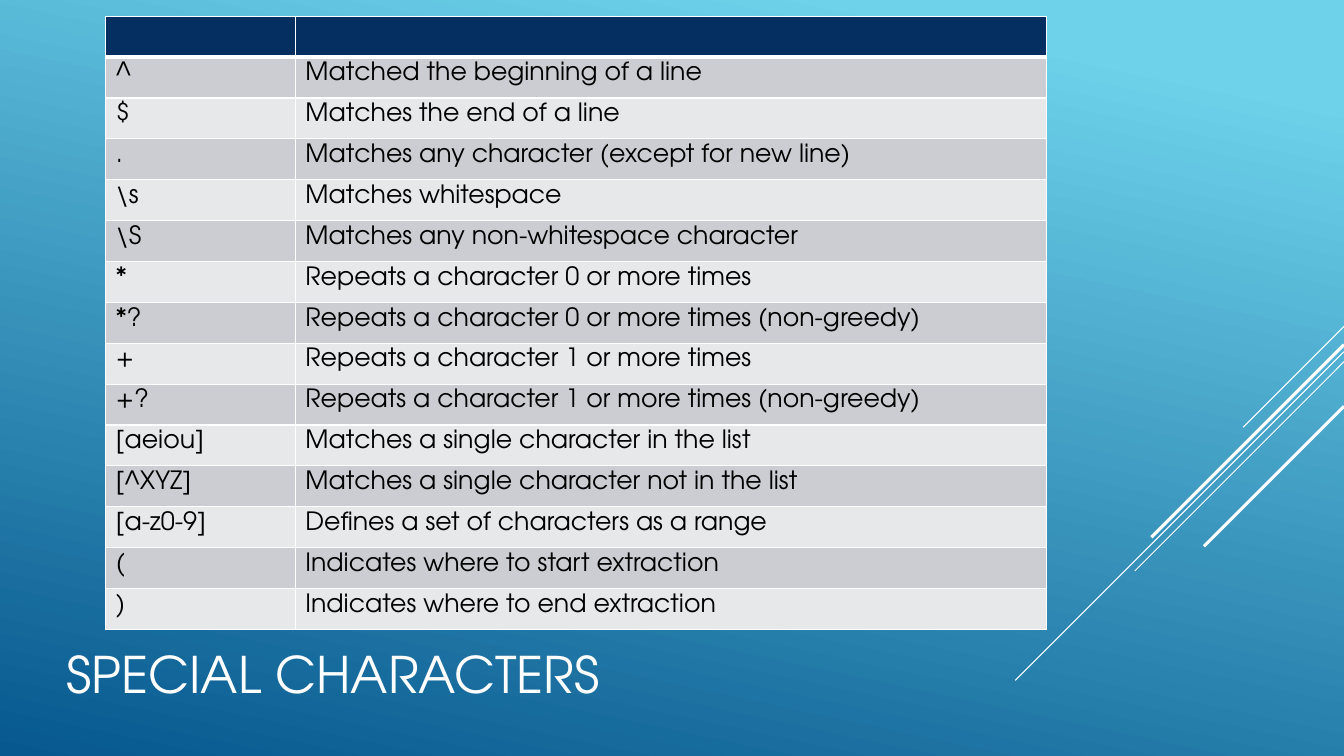
from lxml import etree
from pptx import Presentation
from pptx.dml.color import RGBColor
from pptx.enum.shapes import MSO_CONNECTOR
from pptx.enum.text import MSO_ANCHOR
from pptx.oxml.ns import qn
from pptx.util import Inches, Pt

STRAIGHT = MSO_CONNECTOR.STRAIGHT
MIDDLE = MSO_ANCHOR.MIDDLE
COLS, ROWS = 48, 27

RULES = [
    ("", ""),
    ("^", "Matched the beginning of a line"),
    ("$", "Matches the end of a line"),
    (".", "Matches any character (except for new line)"),
    ("\\s", "Matches whitespace"),
    ("\\S", "Matches any non-whitespace character"),
    ("*", "Repeats a character 0 or more times"),
    ("*?", "Repeats a character 0 or more times (non-greedy)"),
    ("+", "Repeats a character 1 or more times"),
    ("+?", "Repeats a character 1 or more times (non-greedy)"),
    ("[aeiou]", "Matches a single character in the list"),
    ("[^XYZ]", "Matches a single character not in the list"),
    ("[a-z0-9]", "Defines a set of characters as a range"),
    ("(", "Indicates where to start extraction"),
    (")", "Indicates where to end extraction"),
]

STREAKS = [
    (11.66, 3.6, 0.75),
    (12.56, 11.74, 0.75),
    (12.92, 7.47, 0.75),
    (12.31, 6.88, 2.25),
    (14.51, 5, 2.25),
]


def paint(code):
    return RGBColor.from_string(code)


class Deck:
    """Holds the style and the current slide, measured in grid cells."""

    font = "TeX Gyre Adventor"
    white, black, navy = "FFFFFF", "000000", "052F61"
    bands = ("E7E8EA", "CCCDD2")

    def __init__(self):
        self.prs = Presentation()
        self.prs.slide_width = Inches(13.33)
        self.prs.slide_height = Inches(7.5)
        self.slide = self.prs.slides.add_slide(self.prs.slide_layouts[6])

    def x(self, cols):
        return round(self.prs.slide_width * cols / COLS)

    def y(self, rows):
        return round(self.prs.slide_height * rows / ROWS)

    def box(self, left, top, width, height):
        return self.x(left), self.y(top), self.x(width), self.y(height)

    def backdrop(self, angle, *stops):
        fill = self.slide.background.fill
        fill.gradient()
        fill.gradient_angle = angle
        for stop, (place, code) in zip(fill.gradient_stops, stops):
            stop.position = place
            stop.color.rgb = paint(code)

    def streak(self, top, run, width):
        line = self.slide.shapes.add_connector(
            STRAIGHT, self.x(COLS), self.y(top),
            self.x(COLS - run), self.y(top + run))
        line.line.color.rgb = paint(self.white)
        line.line.width = Pt(width)
        etree.SubElement(line._element.spPr, qn("a:effectLst"))

    def label(self, frame, text, size, code):
        para = frame.paragraphs[0]
        para.text = text
        para.font.name = self.font
        para.font.size = Pt(size)
        para.font.color.rgb = paint(code)

    def title(self, text, *place):
        frame = self.slide.shapes.add_textbox(*self.box(*place)).text_frame
        frame.word_wrap = True
        frame.vertical_anchor = MIDDLE
        self.label(frame, text, 36, self.white)

    def border(self, cell, **sides):
        props = cell._tc.get_or_add_tcPr()
        for side, width in sides.items():
            line = etree.SubElement(props, qn(f"a:ln{side}"), w=str(Pt(width)))
            fill = etree.SubElement(line, qn("a:solidFill"))
            etree.SubElement(fill, qn("a:srgbClr"), val=self.white)

    def table(self, data, left, top, widths, height):
        place = self.box(left, top, sum(widths), height * len(data))
        table = self.slide.shapes.add_table(
            len(data), len(widths), *place).table
        for col, width in zip(table.columns, widths):
            col.width = self.x(width)
        for i, texts in enumerate(data):
            table.rows[i].height = self.y(height)
            for j, text in enumerate(texts):
                cell = table.cell(i, j)
                self.border(cell, L=1, R=1, T=3 if i == 1 else 1,
                            B=1 if i else 3)
                cell.fill.solid()
                cell.fill.fore_color.rgb = paint(
                    self.bands[i % 2] if i else self.navy)
                self.label(cell.text_frame, text, 18, self.black)


def main():
    deck = Deck()
    deck.backdrop(258, (0.1, "6ED2EB"), (1, "06588E"))
    for streak in STREAKS:
        deck.streak(*streak)
    deck.title("SPECIAL CHARACTERS", 2.02, 21.06, 33.6, 5.94)
    deck.table(RULES, 3.78, 0.58, (6.77, 26.82), 1.46)
    deck.prs.save("out.pptx")


if __name__ == "__main__":
    main()
